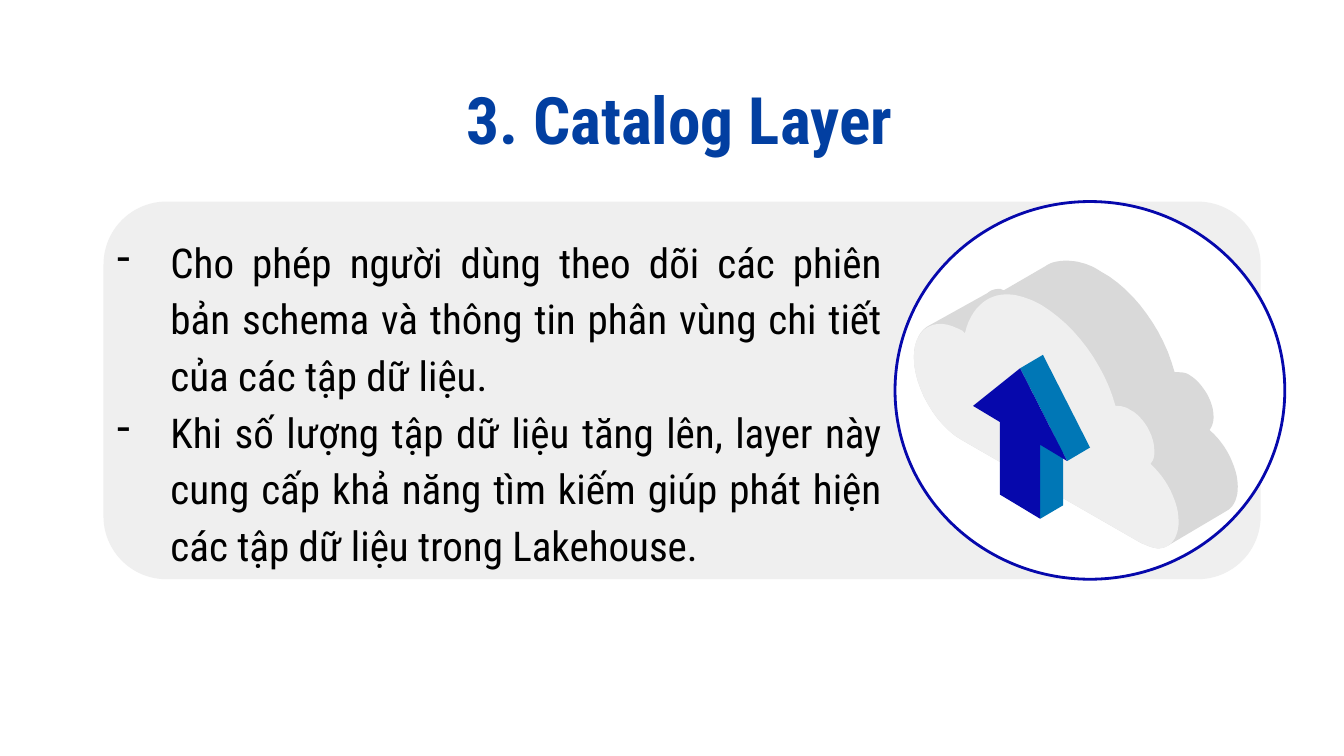
from lxml.etree import SubElement
from pptx import Presentation
from pptx.dml.color import RGBColor as RGB
from pptx.enum.shapes import MSO_SHAPE as Shape
from pptx.enum.text import MSO_ANCHOR as Anchor, PP_ALIGN as Align
from pptx.oxml.ns import qn
from pptx.util import Inches, Pt

COLORS = {"white": "FFFFFF", "black": "000000", "panel": "EFEFEF", "shade": "D9D9D9",
          "navy": "0608AC", "teal": "0077B6", "title": "023FA1"}
FONT = "Roboto Condensed"
GRID = 1000

TITLE = "3. Catalog Layer"
POINTS = [
    "Cho phép người dùng theo dõi các phiên bản schema và thông tin phân vùng "
    "chi tiết của các tập dữ liệu.",
    "Khi số lượng tập dữ liệu tăng lên, layer này cung cấp khả năng tìm kiếm "
    "giúp phát hiện các tập dữ liệu trong Lakehouse.",
]

BACK = [
    (7.93, 1.94), (7.88, 1.94, 7.82, 1.95, 7.78, 1.98), (7.47, 2.16),
    (7.46, 2.16, 7.45, 2.15, 7.44, 2.15), (7.4, 2.15, 7.37, 2.16, 7.35, 2.18),
    (6.9, 2.43), (6.84, 2.47, 6.8, 2.55, 6.8, 2.66),
    (6.8, 2.88, 6.96, 3.16, 7.15, 3.27), (8.49, 4.04),
    (8.54, 4.06, 8.58, 4.08, 8.62, 4.08), (8.65, 4.08, 8.67, 4.07, 8.69, 4.06),
    (9.13, 3.8), (9.18, 3.77, 9.21, 3.71, 9.21, 3.62),
    (9.21, 3.48, 9.12, 3.3, 9, 3.2), (9.02, 3.17, 9.03, 3.14, 9.03, 3.1),
    (9.03, 2.99, 8.95, 2.85, 8.85, 2.79), (8.82, 2.77, 8.79, 2.77, 8.74, 2.77),
    (8.66, 2.47, 8.45, 2.16, 8.19, 2.02), (8.1, 1.96, 8.01, 1.94, 7.93, 1.94),
]
FRONT = [
    (7.49, 2.19), (7.34, 2.19, 7.22, 2.3, 7.18, 2.48),
    (7.17, 2.47, 7.16, 2.46, 7.16, 2.46), (7.1, 2.43, 7.05, 2.41, 7, 2.41),
    (6.88, 2.41, 6.8, 2.5, 6.8, 2.66), (6.8, 2.88, 6.96, 3.16, 7.15, 3.27),
    (8.49, 4.04), (8.54, 4.06, 8.58, 4.08, 8.62, 4.08),
    (8.71, 4.08, 8.77, 4, 8.77, 3.88), (8.77, 3.73, 8.68, 3.56, 8.56, 3.45),
    (8.58, 3.43, 8.59, 3.4, 8.59, 3.36), (8.59, 3.24, 8.51, 3.1, 8.41, 3.05),
    (8.38, 3.03, 8.35, 3.02, 8.3, 3.02), (8.22, 2.72, 8, 2.42, 7.75, 2.27),
    (7.66, 2.22, 7.57, 2.19, 7.49, 2.19),
]
STEM = [(7.91, 3.21), (7.74, 3.31), (7.74, 3.86), (7.91, 3.76)]
EDGE = [(7.76, 2.64), (7.59, 2.74), (7.94, 3.43), (8.11, 3.33)]
ARROW = [(7.59, 2.74), (7.24, 3.02), (7.44, 3.14), (7.44, 3.68),
         (7.74, 3.86), (7.74, 3.31), (7.94, 3.43)]


def trace(path, steps=12):
    """Turn line and cubic segments into a list of grid points."""
    dots = [path[0]]
    for seg in path[1:]:
        if len(seg) == 2:
            dots.append(seg)
            continue
        ctrl = [dots[-1], seg[:2], seg[2:4], seg[4:]]
        for i in range(1, steps + 1):
            t = i / steps
            u = 1 - t
            mix = (u ** 3, 3 * u * u * t, 3 * u * t * t, t ** 3)
            dots.append(tuple(sum(m * c[k] for m, c in zip(mix, ctrl)) for k in (0, 1)))
    return [(round(x * GRID), round(y * GRID)) for x, y in dots]


def write(para, text, size=22, color="black", bold=False, align=Align.JUSTIFY,
          space=1.0, indent=0, bullet=None):
    """Fill one paragraph with formatted text."""
    run = para.add_run()
    run.text = text
    font = run.font
    font.name, font.size, font.bold = FONT, Pt(size), bold
    font.color.rgb = RGB.from_string(COLORS[color])
    para.alignment, para.line_spacing = align, space
    props = para._p.get_or_add_pPr()
    props.set("marL", str(Inches(0.5)))
    props.set("indent", str(Inches(indent)))
    if bullet:
        tint = SubElement(props, qn("a:buClr"))
        SubElement(tint, qn("a:srgbClr"), val=COLORS[color])
        SubElement(props, qn("a:buChar"), char=bullet)


class Deck:
    """Holds the presentation and draws on its current slide."""

    def __init__(self):
        self.prs = Presentation()
        self.prs.slide_width = Inches(10)
        self.prs.slide_height = Inches(10 * 9 / 16)
        self.slide = self.prs.slides.add_slide(self.prs.slide_layouts[6])

    def paint(self, shape, fill, line=None):
        """Set the fill and outline of a shape."""
        shape.shadow.inherit = False
        shape.fill.solid()
        shape.fill.fore_color.rgb = RGB.from_string(COLORS[fill])
        if line:
            shape.line.color.rgb = RGB.from_string(COLORS[line])
            shape.line.width = Pt(1.5)
        else:
            shape.line.fill.background()

    def shape(self, kind, box, fill, line=None):
        """Add a preset shape."""
        item = self.slide.shapes.add_shape(kind, *map(Inches, box))
        self.paint(item, fill, line)

    def icon(self, parts):
        """Add a group of filled outlines."""
        group = self.slide.shapes.add_group_shape()
        for path, fill in parts:
            first, *rest = trace(path)
            pen = group.shapes.build_freeform(*first, scale=Inches(1) / GRID)
            pen.add_line_segments(rest, close=True)
            self.paint(pen.convert_to_shape(), fill)

    def text(self, box, lines, anchor=Anchor.TOP, **style):
        """Add a text box with one paragraph per line."""
        frame = self.slide.shapes.add_textbox(*map(Inches, box)).text_frame
        frame.word_wrap, frame.vertical_anchor = True, anchor
        frame.margin_left = frame.margin_right = Inches(0.1)
        frame.margin_top = frame.margin_bottom = Inches(0.1)
        for i, line in enumerate(lines):
            para = frame.add_paragraph() if i else frame.paragraphs[0]
            write(para, line, **style)


def main():
    """Build and save the slide."""
    deck = Deck()
    deck.shape(Shape.ROUNDED_RECTANGLE, (0.77, 1.5, 8.61, 2.81), "panel")
    deck.shape(Shape.OVAL, (6.66, 1.5, 2.9, 2.81), "white", "navy")
    deck.icon([(BACK, "shade"), (FRONT, "panel"), (STEM, "teal"),
               (EDGE, "teal"), (ARROW, "navy")])
    deck.text((0.67, 1.61, 5.99, 2.7), POINTS, space=1.15, indent=-0.4, bullet="-")
    deck.text((0.5, 0.62, 8.61, 0.52), [TITLE], Anchor.MIDDLE, size=35,
              color="title", bold=True, align=Align.CENTER)
    deck.prs.save("out.pptx")


if __name__ == "__main__":
    main()
